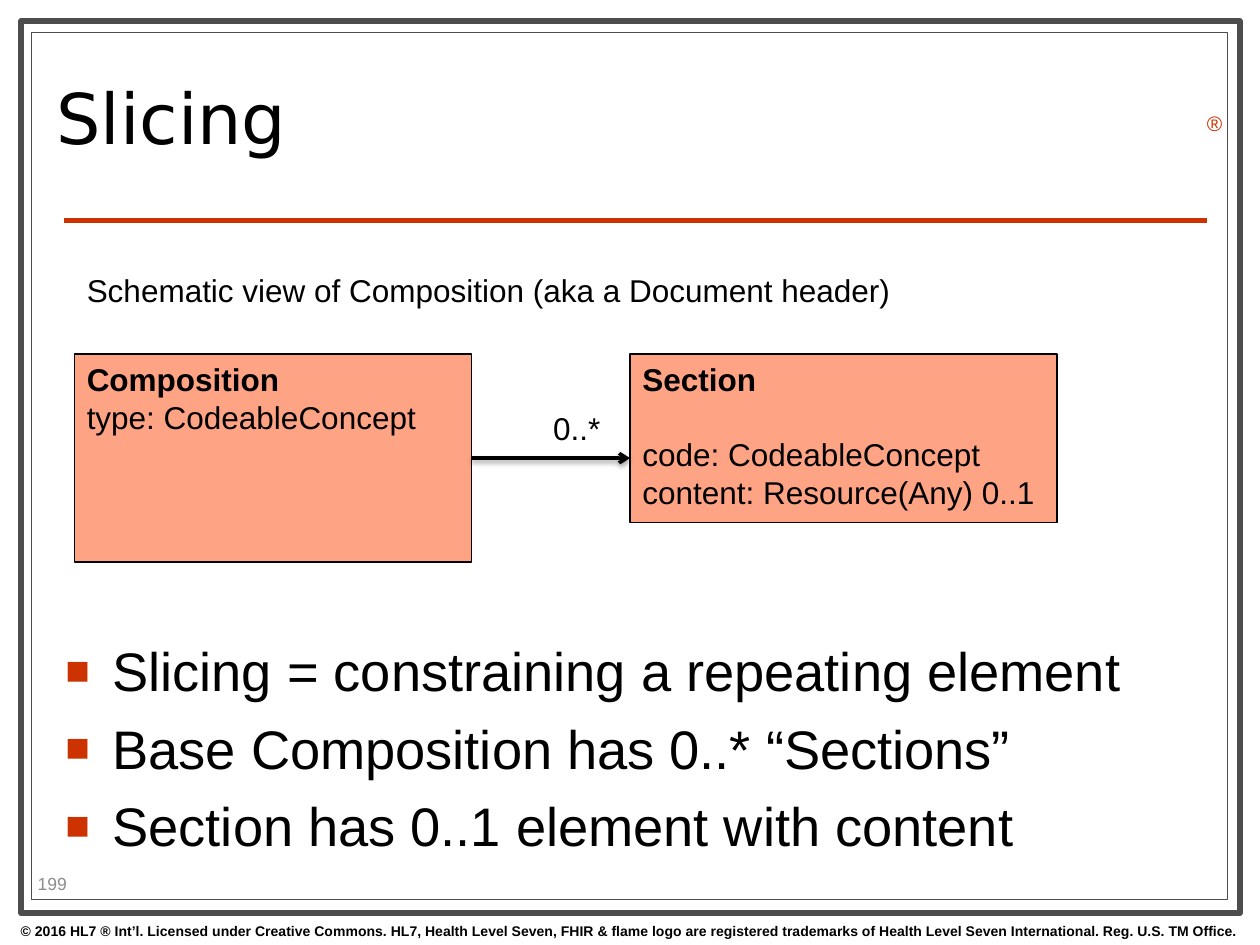
"""Build the slide that introduces slicing with a composition diagram."""
from dataclasses import dataclass

import pptx
import pptx.dml.color
import pptx.enum.shapes
import pptx.enum.text
import pptx.oxml.ns
import pptx.util
from lxml import etree

Cm = pptx.util.Cm
Pt = pptx.util.Pt
ANCHOR = pptx.enum.text.MSO_ANCHOR
ALIGN = pptx.enum.text.PP_ALIGN


@dataclass(frozen=True)
class Theme:
    """Hold the colours, fonts and type sizes."""
    white: str = "FFFFFF"
    black: str = "000000"
    frame: str = "4D4D4D"
    accent: str = "CC3300"
    box: str = "FFA385"
    muted: str = "8C8C8C"
    font: str = "Arial"
    title_font: str = "DejaVu Sans"
    title_size: float = 40
    body_size: float = 31
    diagram_size: float = 18
    mark_size: float = 12
    number_size: float = 10
    footer_size: float = 8


THEME = Theme()
FRAMES = [((0.43, 0.43, 24.56, 17.98), 3.5), ((0.64, 0.66, 24.1, 17.48), 0.75)]
TITLE = "Slicing"
MARK = "®"
NUMBER = "199"
FOOTER = ("© 2016 HL7 ® Int’l. Licensed under Creative Commons. HL7, Health Level Seven, "
          "FHIR & flame logo are registered trademarks of Health Level Seven International. "
          "Reg. U.S. TM Office.")
BULLETS = [
    "Slicing = constraining a repeating element",
    "Base Composition has 0..* “Sections”",
    "Section has 0..1 element with content",
]
CAPTION = "Schematic view of Composition (aka a Document header)"
MULTIPLICITY = "0..*"
COMPOSITION = {"place": (1.5, 7.14, 8, 4.19), "name": "Composition",
               "fields": ["type: CodeableConcept"], "gap": 0}
SECTION = {"place": (12.7, 7.14, 8.61, 3.4), "name": "Section",
           "fields": ["code: CodeableConcept", "content: Resource(Any) 0..1"], "gap": 21}


def rgb(value):
    """Turn a hex string into a colour."""
    return pptx.dml.color.RGBColor.from_string(value)


def add_element(parent, tag, **attributes):
    """Append a drawing element to its parent."""
    return etree.SubElement(parent, pptx.oxml.ns.qn(f"a:{tag}"), attributes)


def write(paragraph, text, size, color=THEME.black, bold=False, font=THEME.font):
    """Add one styled run to a paragraph."""
    run = paragraph.add_run()
    run.text = text
    run.font.name = font
    run.font.size = Pt(size)
    run.font.bold = bold
    run.font.color.rgb = rgb(color)


def add_text(slide, place, text, size, anchor=ANCHOR.TOP, wrap=True, grow=False, **style):
    """Add a text box with one line and return its paragraph."""
    frame = slide.shapes.add_textbox(*map(Cm, place)).text_frame
    frame.word_wrap = wrap
    frame.vertical_anchor = anchor
    if grow:
        frame.auto_size = pptx.enum.text.MSO_AUTO_SIZE.SHAPE_TO_FIT_TEXT
    write(frame.paragraphs[0], text, size, **style)
    return frame.paragraphs[0]


def add_rectangle(slide, place, fill, line, width):
    """Add a flat outlined rectangle."""
    kind = pptx.enum.shapes.MSO_SHAPE.RECTANGLE
    shape = slide.shapes.add_shape(kind, *map(Cm, place))
    shape.shadow.inherit = False
    shape.fill.solid()
    shape.fill.fore_color.rgb = rgb(fill)
    shape.line.color.rgb = rgb(line)
    shape.line.width = Pt(width)
    return shape


def add_line(slide, left, right, height, color, width):
    """Add a horizontal line and return it with its empty effect list."""
    kind = pptx.enum.shapes.MSO_CONNECTOR.STRAIGHT
    connector = slide.shapes.add_connector(kind, Cm(left), Cm(height), Cm(right), Cm(height))
    connector.line.color.rgb = rgb(color)
    connector.line.width = Pt(width)
    return connector, add_element(connector._element.spPr, "effectLst")


def add_class(slide, entry):
    """Add a class box with a bold name above its fields."""
    shape = add_rectangle(slide, entry["place"], THEME.box, THEME.black, 0.75)
    frame = shape.text_frame
    frame.word_wrap = True
    frame.vertical_anchor = ANCHOR.TOP
    frame.paragraphs[0].alignment = ALIGN.LEFT
    write(frame.paragraphs[0], entry["name"], THEME.diagram_size, bold=True)
    for index, field in enumerate(entry["fields"]):
        paragraph = frame.add_paragraph()
        paragraph.alignment = ALIGN.LEFT
        paragraph.space_before = Pt(0 if index else entry["gap"])
        write(paragraph, field, THEME.diagram_size)
    return shape


def add_arrow(slide, source, target):
    """Link two class boxes with a softly shadowed arrow."""
    left, top, width, height = source["place"]
    connector, effects = add_line(slide, left + width, target["place"][0],
                                  top + height / 2, THEME.black, 2)
    add_element(connector.line._get_or_add_ln(), "tailEnd", type="arrow")
    shadow = add_element(effects, "outerShdw", blurRad=str(Pt(3.1)), dist=str(Pt(1.6)),
                         dir="5400000", rotWithShape="0")
    color = add_element(shadow, "srgbClr", val=THEME.black)
    add_element(color, "alpha", val="38000")


def add_bullets(slide, place, items):
    """Add the square-bulleted list."""
    frame = slide.shapes.add_textbox(*map(Cm, place)).text_frame
    frame.word_wrap = True
    for index, item in enumerate(items):
        paragraph = frame.add_paragraph() if index else frame.paragraphs[0]
        properties = paragraph._p.get_or_add_pPr()
        properties.set("marL", str(Cm(0.95)))
        properties.set("indent", str(Cm(-0.95)))
        add_element(add_element(properties, "buClr"), "srgbClr", val=THEME.accent)
        add_element(properties, "buSzPct", val="75000")
        add_element(properties, "buFont", typeface=THEME.font)
        add_element(properties, "buChar", char="■")
        if index:
            paragraph.space_before = Pt(7)
        write(paragraph, item, THEME.body_size)


def main():
    """Assemble and save the slide."""
    presentation = pptx.Presentation()
    presentation.slide_width = Cm(25.4)
    presentation.slide_height = Cm(19.05)
    slide = presentation.slides.add_slide(presentation.slide_layouts[6])
    for place, width in FRAMES:
        add_rectangle(slide, place, THEME.white, THEME.frame, width)
    add_line(slide, 1.3, 24.33, 4.45, THEME.accent, 3)
    footer = add_text(slide, (0, 18.47, 25.4, 0.58), FOOTER, THEME.footer_size,
                      grow=True, bold=True)
    footer.alignment = ALIGN.CENTER
    add_text(slide, (24.08, 2.11, 0.79, 0.76), MARK, THEME.mark_size,
             grow=True, color=THEME.accent)
    title = add_text(slide, (0.89, 0.91, 18.21, 3.2), TITLE, THEME.title_size,
                     anchor=ANCHOR.MIDDLE, font=THEME.title_font)
    title.line_spacing = 0.8
    add_bullets(slide, (1.07, 12.73, 23.29, 4.19), BULLETS)
    add_text(slide, (0.51, 17.5, 2.01, 0.61), NUMBER, THEME.number_size,
             anchor=ANCHOR.MIDDLE, color=THEME.muted)
    for entry in (COMPOSITION, SECTION):
        add_class(slide, entry)
    add_arrow(slide, COMPOSITION, SECTION)
    add_text(slide, (10.9, 8.13, 1.47, 1.02), MULTIPLICITY, THEME.diagram_size,
             wrap=False, grow=True)
    add_text(slide, (1.5, 5.33, 19.2, 1.02), CAPTION, THEME.diagram_size, grow=True)
    presentation.save("out.pptx")


if __name__ == "__main__":
    main()
